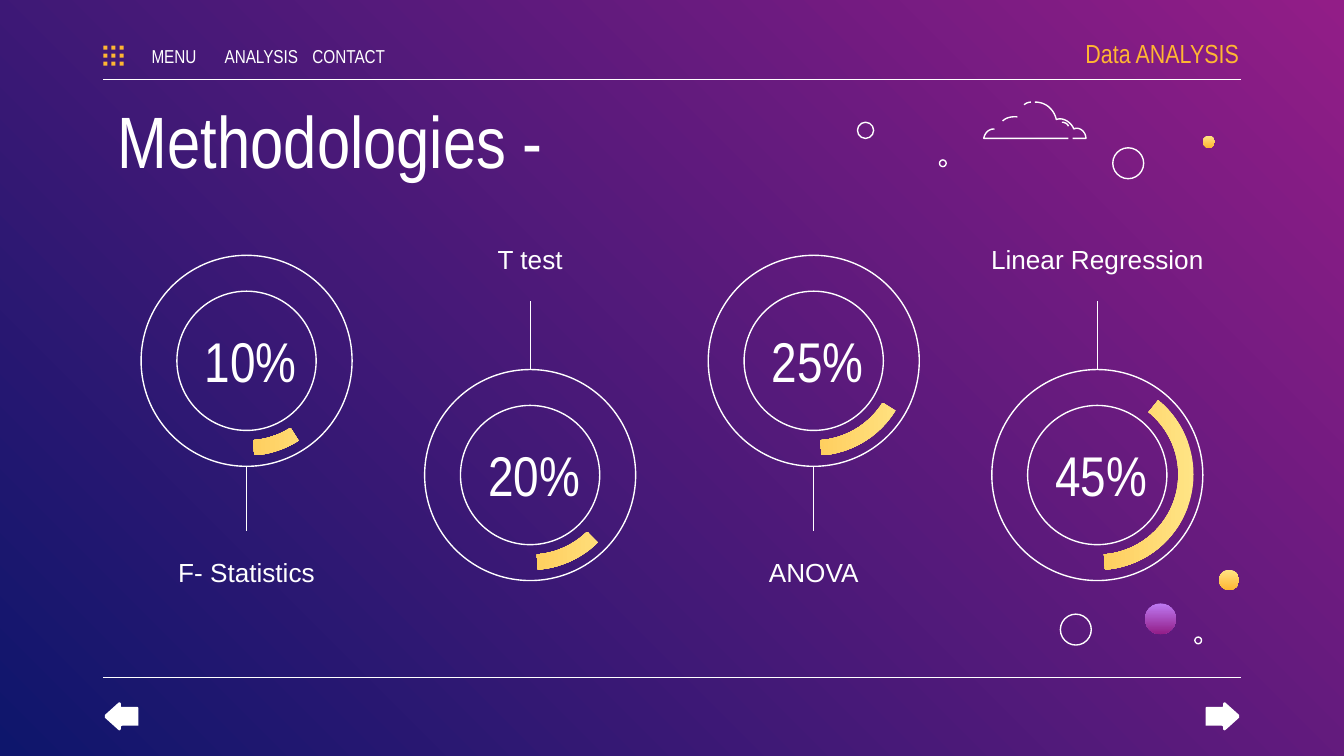
"""Build the Methodologies slide with four ring gauges."""
from lxml import etree
from pptx import Presentation
from pptx.dml.color import RGBColor
from pptx.enum import shapes, text
from pptx.oxml import ns
from pptx.util import Inches, Pt

WHITE = RGBColor(0xFF, 0xFF, 0xFF)
GOLD = RGBColor(0xFF, 0xB6, 0x32)
CREAM = RGBColor(0xFF, 0xE4, 0x85)
LILAC = RGBColor(0xBE, 0x7A, 0xF3)
PLUM = RGBColor(0x92, 0x1D, 0x87)
NAVY = RGBColor(0x0E, 0x16, 0x6C)
NARROW = "Arial Narrow"
FORM = shapes.MSO_SHAPE
ALIGN = text.PP_ALIGN
STRAIGHT = shapes.MSO_CONNECTOR.STRAIGHT

deck = Presentation()
deck.slide_width, deck.slide_height = Inches(10), Inches(10 * 9 / 16)
slide = deck.slides.add_slide(deck.slide_layouts[6])
tree = slide.shapes
back = slide.background.fill
back.gradient()
back.gradient_angle = 225
for stop, tint in zip(back.gradient_stops, (PLUM, NAVY)):
    stop.color.rgb = tint


def write(words, at, size, font=NARROW, color=WHITE, align=ALIGN.CENTER,
          anchor=text.MSO_ANCHOR.MIDDLE, left=0.1, right=0.1):
    box = tree.add_textbox(*map(Inches, at))
    frame = box.text_frame
    frame.word_wrap = True
    frame.vertical_anchor = anchor
    frame.margin_left, frame.margin_right = Inches(left), Inches(right)
    frame.margin_top = frame.margin_bottom = Inches(0.1)
    para = frame.paragraphs[0]
    para.text = words
    para.alignment = align
    para.font.name, para.font.size = font, Pt(size)
    para.font.color.rgb = color
    return box


def trace(home, start, parts, close=False, flip=False):
    dots = [start]
    for part in parts:
        if len(part) == 2:
            dots.append(part)
            continue
        a, b, c, d = dots[-1], part[:2], part[2:4], part[4:]
        for step in range(1, 11):
            t = step / 10
            s = 1 - t
            dots.append(tuple(
                s**3 * a[i] + 3 * s * s * t * b[i] + 3 * s * t * t * c[i] + t**3 * d[i]
                for i in (0, 1)))
    dots = [(Inches(10 - x if flip else x), Inches(y)) for x, y in dots]
    pen = home.build_freeform(*dots[0])
    pen.add_line_segments(dots[1:], close=close)
    return pen.convert_to_shape()


looks = []
wires = []
for y in (0.59, 5.04):
    wires.append(tree.add_connector(STRAIGHT, *map(Inches, (0.77, y, 9.23, y))))

gauges = [("10%", "F- Statistics", 196.47), ("20%", "T test", 189.29),
          ("25%", "ANOVA", 181.15), ("45%", "Linear Regression", 131.39)]
for col, (share, name, sweep) in enumerate(gauges):
    low = col % 2
    x = 0.78 + 2.11 * col
    y = 2.75 if low else 1.9
    ring = tree.add_shape(FORM.DONUT, *map(Inches, (x + 0.27, y, 1.57, 1.57)))
    ring.adjustments[0] = 0.17
    looks.append((ring, [], True))
    arc = tree.add_shape(FORM.BLOCK_ARC, *map(Inches, (x + 0.35, y + 0.07, 1.42, 1.42)))
    arc.rotation = 90
    for i, value in enumerate((sweep, 213.49, 0.08)):
        arc.adjustments[i] = value
    looks.append((arc, [CREAM, GOLD], False))
    write(share, (x + 0.47, y + 0.47, 1.23, 0.62), 30)
    label = write(name, (x, 1.62 if low else 3.95, 2.11, 0.62), 14, font="Arial")
    mid = Inches(x + 2.11 / 2)
    edge = Inches(y if low else y + 1.57)
    wire = tree.add_connector(STRAIGHT, mid, edge, mid, edge)
    wire.end_connect(label, 2 if low else 0)
    wires.append(wire)

write("Data ANALYSIS", (7.72, 0.23, 1.5, 0.33), 14, color=GOLD,
      align=ALIGN.RIGHT, right=0)
write("Methodologies -", (0.78, 0.61, 8.44, 0.66), 39,
      align=ALIGN.LEFT, anchor=text.MSO_ANCHOR.TOP)
for col, name in enumerate(("MENU", "ANALYSIS", "CONTACT")):
    write(name, (1.01 + 0.65 * col, 0.3, 0.57, 0.23), 10, left=0, right=0)

grid = tree.add_group_shape()
for n in range(9):
    spot = (0.77 + 0.06 * (n // 3), 0.34 + 0.06 * (n % 3), 0.03, 0.03)
    looks.append((grid.shapes.add_shape(FORM.RECTANGLE, *map(Inches, spot)), [GOLD], False))

orbs = [(6.38, 0.91, 0.12, []), (8.28, 1.1, 0.23, []), (7.89, 4.57, 0.23, []),
        (8.89, 4.74, 0.05, []), (6.99, 1.19, 0.05, []),
        (8.52, 4.49, 0.23, [LILAC, PLUM]), (8.95, 1.01, 0.09, [CREAM, GOLD]),
        (9.07, 4.24, 0.15, [CREAM, GOLD])]
for x, y, size, tints in orbs:
    orb = tree.add_shape(FORM.OVAL, *map(Inches, (x, y, size, size)))
    looks.append((orb, tints, not tints))

cloud = tree.add_group_shape()
strokes = [
    ((7.7, 0.76), [(7.78, 0.76, 7.84, 0.81, 7.86, 0.89), (7.91, 0.87, 7.97, 0.91, 7.99, 0.96),
                   (8.03, 0.94, 8.08, 0.98, 8.08, 1.03), (7.98, 1.03)]),
    ((7.67, 0.76), [(7.67, 0.76, 7.64, 0.76, 7.62, 0.78)]),
    ((7.95, 1.03), [(7.32, 1.03), (7.32, 1.03, 7.33, 0.96, 7.4, 0.96)]),
    ((7.9, 0.91), [(7.9, 0.91, 7.94, 0.91, 7.95, 0.94)]),
    ((7.57, 0.87), [(7.57, 0.87, 7.5, 0.86, 7.46, 0.9)])]
for start, parts in strokes:
    looks.append((trace(cloud.shapes, start, parts), [], True))

arrow = [(0.78, 5.34), (0.78, 5.34, 0.78, 5.33, 0.78, 5.32), (0.88, 5.23),
         (0.89, 5.22, 0.9, 5.23, 0.9, 5.24), (0.9, 5.25),
         (0.9, 5.26, 0.9, 5.26, 0.91, 5.26), (1.02, 5.26),
         (1.03, 5.26, 1.03, 5.27, 1.03, 5.27), (1.03, 5.39),
         (1.03, 5.4, 1.03, 5.4, 1.02, 5.4), (0.91, 5.4),
         (0.9, 5.4, 0.9, 5.41, 0.9, 5.41), (0.9, 5.42),
         (0.9, 5.43, 0.89, 5.44, 0.88, 5.43)]
for flip in (False, True):
    looks.append((trace(tree, (0.88, 5.43), arrow, close=True, flip=flip), [WHITE], False))

for shape, tints, lined in looks:
    shape.shadow.inherit = False
    if len(tints) == 2:
        shape.fill.gradient()
        shape.fill.gradient_angle = 270
        for stop, tint in zip(shape.fill.gradient_stops, tints):
            stop.color.rgb = tint
    elif tints:
        shape.fill.solid()
        shape.fill.fore_color.rgb = tints[0]
    else:
        shape.fill.background()
    if lined:
        shape.line.color.rgb = WHITE
        shape.line.width = Pt(0.75)
    else:
        shape.line.fill.background()

for wire in wires:
    wire.line.color.rgb = WHITE
    wire.line.width = Pt(0.75)
    etree.SubElement(wire._element.spPr, ns.qn("a:effectLst"))

deck.save("out.pptx")
